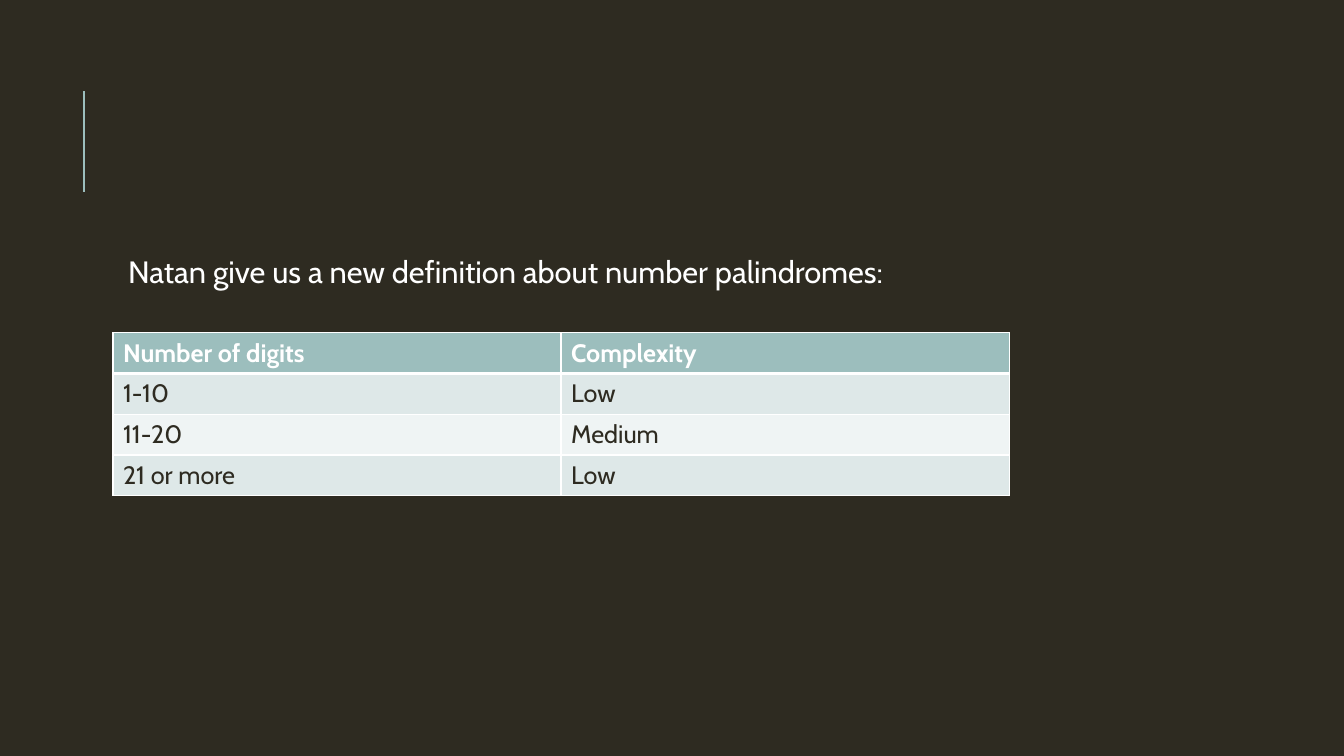
from lxml.etree import SubElement
from pptx import Presentation
from pptx.dml.color import RGBColor
from pptx.enum.shapes import MSO_CONNECTOR
from pptx.oxml.ns import qn
from pptx.util import Inches, Pt

COLORS = {
    "ground": "2E2B21",
    "accent": "9CBEBD",
    "band_dark": "DEE8E8",
    "band_light": "EFF4F4",
    "white": "FFFFFF",
}
FONT = "Cabin"
COMPLEXITY = [
    ("Number of digits", "Complexity"),
    ("1-10", "Low"),
    ("11-20", "Medium"),
    ("21 or more", "Low"),
]


def color(name):
    return RGBColor.from_string(COLORS[name])


def write(frame, text, size=18, ink="white", bold=False,
          line_spacing=None, before=0, after=0):
    paragraph = frame.paragraphs[0]
    paragraph.line_spacing = line_spacing
    paragraph.space_before, paragraph.space_after = Pt(before), Pt(after)
    run = paragraph.add_run()
    run.text = text
    run.font.name, run.font.size, run.font.bold = FONT, Pt(size), bold
    run.font.color.rgb = color(ink)


def add_title_rule(slide, left, top, height):
    rule = slide.shapes.add_connector(
        MSO_CONNECTOR.STRAIGHT, left, top + height, left, top)
    rule.line.color.rgb = color("accent")
    rule.line.width = Pt(1.5)
    SubElement(rule._element.spPr, qn("a:effectLst"))


def add_statement(slide, left, top, width, height):
    frame = slide.shapes.add_textbox(left, top, width, height).text_frame
    frame.word_wrap = True
    frame.margin_left = Inches(0.15)
    frame.margin_top = frame.margin_right = frame.margin_bottom = Inches(0.05)
    write(frame, "Natan give us a new definition about number palindromes:",
          size=22, line_spacing=0.9, before=12, after=2)


def add_borders(cell, **widths):
    properties = cell._tc.get_or_add_tcPr()
    for side in "LRTB":
        border = SubElement(properties, qn(f"a:ln{side}"),
                            w=str(Pt(widths.get(side, 1))))
        fill = SubElement(border, qn("a:solidFill"))
        SubElement(fill, qn("a:srgbClr"), val=COLORS["white"])


def add_complexity_table(slide, left, top, width, height):
    rows, columns = len(COMPLEXITY), len(COMPLEXITY[0])
    table = slide.shapes.add_table(
        rows, columns, left, top, width, height).table
    for r, entries in enumerate(COMPLEXITY):
        header = r == 0
        band = "accent" if header else "band_dark" if r % 2 else "band_light"
        for c, entry in enumerate(entries):
            cell = table.cell(r, c)
            # The rule under the header is heavier than the others
            add_borders(cell, T=3 if r == 1 else 1, B=3 if header else 1)
            cell.fill.solid()
            cell.fill.fore_color.rgb = color(band)
            write(cell.text_frame, entry, bold=header,
                  ink="white" if header else "ground")


def main():
    deck = Presentation()
    deck.slide_width, deck.slide_height = Inches(13.33), Inches(7.5)
    slide = deck.slides.add_slide(deck.slide_layouts[6])
    slide.background.fill.solid()
    slide.background.fill.fore_color.rgb = color("ground")

    # Accent rule, statement and table, the last two on one left margin
    margin = Inches(1.12)
    add_title_rule(slide, Inches(0.83), Inches(0.9), Inches(1))
    add_statement(slide, margin, Inches(2.5), Inches(10.63), Inches(4.4))
    add_complexity_table(slide, margin, Inches(3.3), Inches(8.89), Inches(1.62))
    deck.save("out.pptx")


if __name__ == "__main__":
    main()
